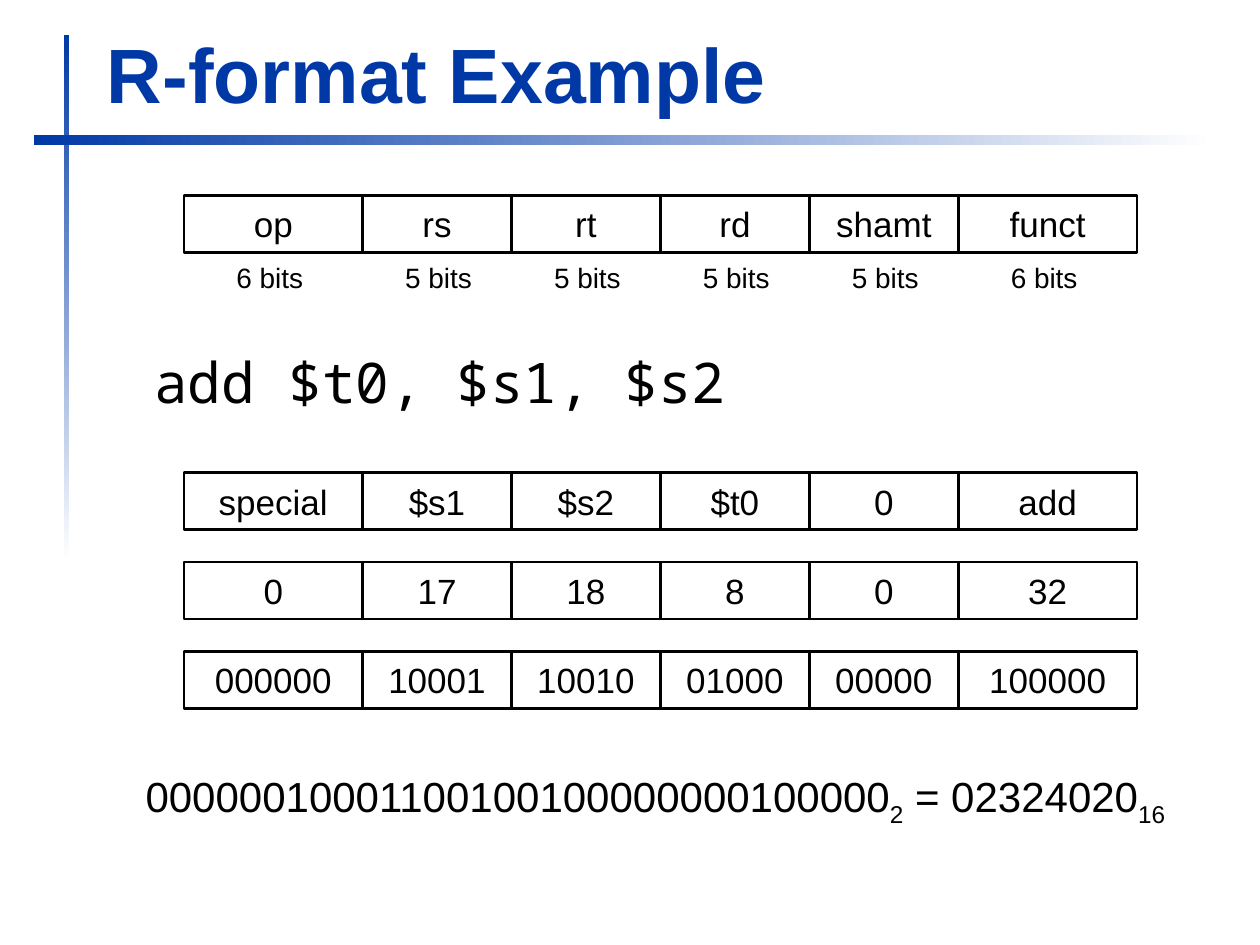
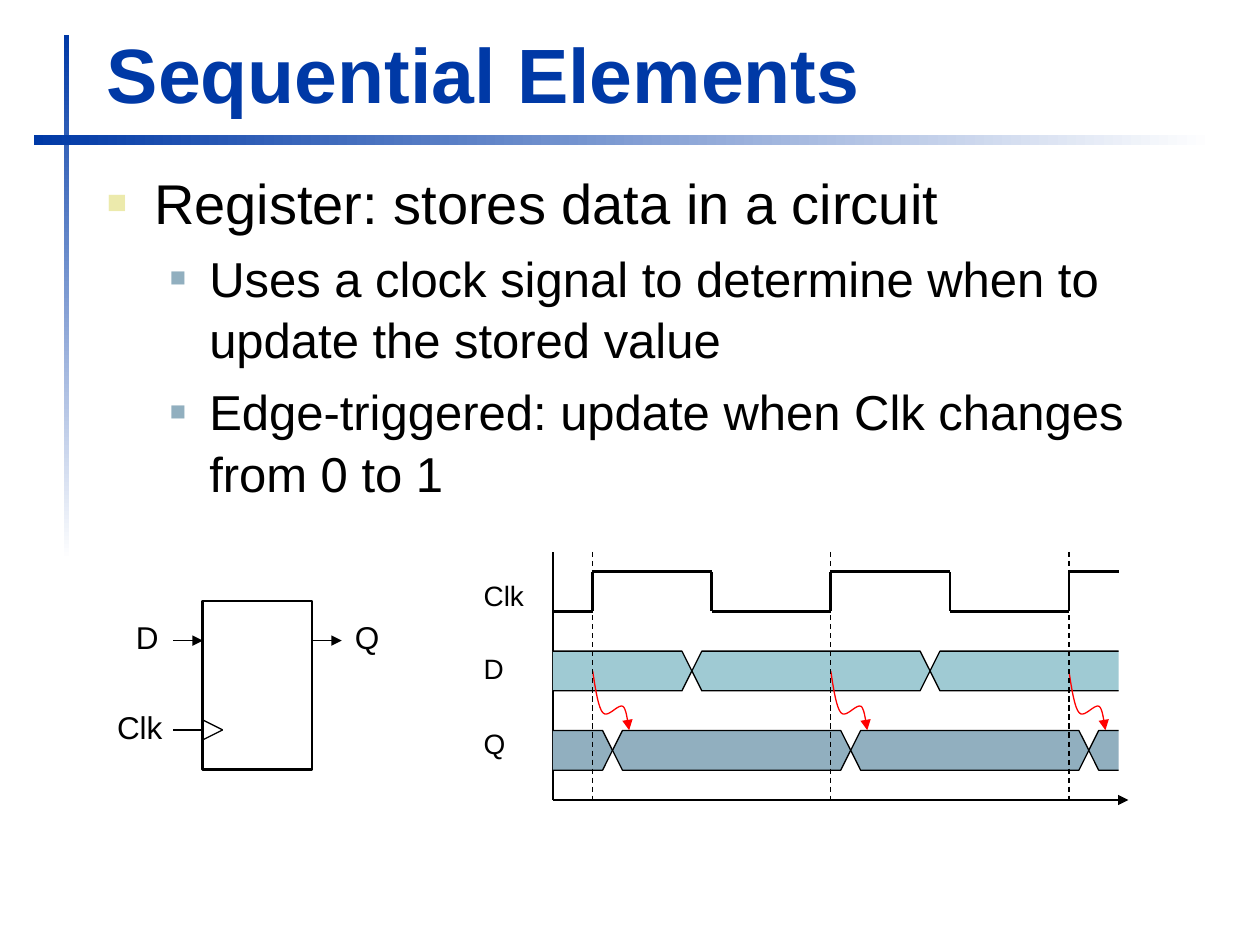
from dataclasses import dataclass
from itertools import accumulate

from lxml.etree import SubElement
from pptx import Presentation
from pptx.dml.color import RGBColor
from pptx.enum.dml import MSO_LINE_DASH_STYLE as Dash
from pptx.enum.shapes import MSO_CONNECTOR as Link, MSO_SHAPE as Preset
from pptx.enum.text import MSO_ANCHOR as Anchor, PP_ALIGN as Align
from pptx.oxml.ns import qn
from pptx.util import Pt


@dataclass(frozen=True)
class Theme:
    blue: str = "0039A6"
    white: str = "FFFFFF"
    black: str = "000000"
    red: str = "FF0000"
    sand: str = "ECEAAC"
    slate: str = "91AFBF"
    teal: str = "9FCAD3"
    sans: str = "Arial"
    mono: str = "Noto Sans Mono"
    title: int = 44
    body: int = 32
    detail: int = 28
    result: int = 24
    cell: int = 20
    pin: int = 18
    note: int = 16
    thick: float = 1.5
    medium: float = 1
    thin: float = 0.75


T = Theme()

# Content: R-format slide
FORMAT_TITLE = "R-format Example"
FIELD_BITS = [6, 5, 5, 5, 5, 6]
FIELD_ROWS = [
    (111.6, ["op", "rs", "rt", "rd", "shamt", "funct"]),
    (270, ["special", "$s1", "$s2", "$t0", "0", "add"]),
    (321.1, ["0", "17", "18", "8", "0", "32"]),
    (372.2, ["000000", "10001", "10010", "01000", "00000", "100000"]),
]
INSTRUCTION = "add $t0, $s1, $s2"
ENCODING = [("00000010001100100100000000100000", "2"), (" = 02324020", "16")]

# Content: sequential elements slide
REGISTER_TITLE = "Sequential Elements"
# Text, size, left margin, hanging indent, bullet colour, bullet percent, space before
POINTS = [
    ("Register: stores data in a circuit", T.body, 27, 27, T.sand, 60, 0),
    ("Uses a clock signal to determine when to update the stored value",
     T.detail, 58.5, 22.5, T.slate, 55, 5.6),
    ("Edge-triggered: update when Clk changes from 0 to 1",
     T.detail, 58.5, 22.5, T.slate, 55, 5.6),
]
PINS = [("D", 70.6, 349.9, 27.4), ("Clk", 59.8, 401, 40.3), ("Q", 195.8, 349.9, 28.8)]
SIGNALS = [("Clk", 326.9, 37.4), ("D", 368.6, 25.9), ("Q", 411.8, 27.4)]

# Drawing grid: positions in the diagrams count in steps of UNIT
UNIT = 5.67
REGISTER_ORIGIN = (115.9, 343.4)
TIMING_ORIGIN = (316, 315.4)
EDGES = [4, 28, 52]
HALF_PERIOD, WAVE_END = 12, 57
CLOCK_HIGH, CLOCK_LOW, TIME_AXIS = 2, 6, 25
BUSES = [(10, [14, 38], T.teal), (18, [6, 30, 54], T.slate)]
TRIGGER = [  # Bezier pieces, relative to the clock edge at the middle of D
    [(0, 0), (0.13, 0.76), (0.5, 3.68), (1.02, 4.19)],
    [(1.02, 4.19), (1.52, 4.83), (2.54, 3.3), (3.05, 3.56)],
    [(3.05, 3.56), (3.43, 3.81), (3.56, 5.46), (3.68, 5.97)],
]


def rgb(value):
    return RGBColor.from_string(value)


def apply(target, **values):
    for name, value in values.items():
        setattr(target, name, value)


def write(paragraph, text, size, color=T.black, font=T.sans, bold=False):
    run = paragraph.add_run()
    run.text = text
    apply(run.font, size=Pt(size), name=font, bold=bold)
    run.font.color.rgb = rgb(color)
    return run


def text_area(slide, left, top, width, height, wrap=True, anchor=Anchor.TOP):
    frame = slide.shapes.add_textbox(*map(Pt, (left, top, width, height))).text_frame
    apply(frame, word_wrap=wrap, vertical_anchor=anchor)
    return frame


def label(slide, text, left, top, width, height, size, align=Align.LEFT):
    paragraph = text_area(slide, left, top, width, height, wrap=False).paragraphs[0]
    paragraph.alignment = align
    write(paragraph, text, size)


def stroke(item, width, color=T.black, dash=None, arrow=False):
    item.line.color.rgb = rgb(color)
    item.line.width = Pt(width)
    if dash:
        item.line.dash_style = dash
    if arrow:
        SubElement(item.line._get_or_add_ln(), qn("a:tailEnd"), type="triangle")


def box(slide, left, top, width, height):
    shape = slide.shapes.add_shape(Preset.RECTANGLE, *map(Pt, (left, top, width, height)))
    shape.shadow.inherit = False
    return shape


def outlined_box(slide, *place):
    shape = box(slide, *place)
    shape.fill.background()
    stroke(shape, T.thick)
    return shape


def on_grid(origin, point):
    return tuple(Pt(start + step * UNIT) for start, step in zip(origin, point))


def wire(slide, origin, start, end, width=T.thin, **style):
    ends = on_grid(origin, start) + on_grid(origin, end)
    link = slide.shapes.add_connector(Link.STRAIGHT, *ends)
    stroke(link, width, **style)
    SubElement(link._element.spPr, qn("a:effectLst"))


def outline(slide, origin, points, closed=False, fill=None, **style):
    first, *rest = [on_grid(origin, point) for point in points]
    builder = slide.shapes.build_freeform(*first)
    builder.add_line_segments(rest, close=closed)
    shape = builder.convert_to_shape()
    shape.shadow.inherit = False
    if fill:
        shape.fill.solid()
        shape.fill.fore_color.rgb = rgb(fill)
    else:
        shape.fill.background()
    stroke(shape, T.thin, **style)


def new_slide(deck, title):
    slide = deck.slides.add_slide(deck.slide_layouts[6])
    # Crossed bars that fade to white
    for place, angle in (((36.7, 20.2, 2.9, 300), 270), ((19.4, 77, 674.6, 5.8), 0)):
        bar = box(slide, *place)
        bar.line.fill.background()
        bar.fill.gradient()
        bar.fill.gradient_angle = angle
        for stop, color in zip(bar.fill.gradient_stops, (T.blue, T.white)):
            stop.color.rgb = rgb(color)
    heading = text_area(slide, 54, 11.5, 650, 60, anchor=Anchor.BOTTOM)
    write(heading.paragraphs[0], title, T.title, T.blue, bold=True)
    return slide


def format_slide(deck):
    slide = new_slide(deck, FORMAT_TITLE)
    bit_width, row_height = 17.02, 32.6
    widths = [bits * bit_width for bits in FIELD_BITS]
    lefts = list(accumulate(widths[:-1], initial=105.1))

    # Field rows
    for top, names in FIELD_ROWS:
        for name, left, width in zip(names, lefts, widths):
            field = outlined_box(slide, left, top, width, row_height)
            paragraph = field.text_frame.paragraphs[0]
            paragraph.alignment = Align.CENTER
            write(paragraph, name, T.cell)

    # Field sizes under the first row
    size_width, nudge = 52.6, {6: -2, 5: 0.8}
    for bits, left, width in zip(FIELD_BITS, lefts, widths):
        size_left = left + (width - size_width) / 2 + nudge[bits]
        label(slide, f"{bits} bits", size_left, 145.4, size_width, 26.6,
              T.note, Align.CENTER)

    # Instruction and its encoding
    instruction = text_area(slide, 81, 195, 624, 51).paragraphs[0]
    write(instruction, INSTRUCTION, T.body, font=T.mono)
    encoding = text_area(slide, 54, 437, 641, 40).paragraphs[0]
    encoding.alignment = Align.CENTER
    for digits, base in ENCODING:
        write(encoding, digits, T.result)
        subscript = write(encoding, base, T.result)
        subscript._r.get_or_add_rPr().set("baseline", "-25000")


def bullet_list(slide):
    frame = text_area(slide, 54, 90.6, 652, 217)
    for index, (text, size, margin, hang, color, percent, before) in enumerate(POINTS):
        point = frame.add_paragraph() if index else frame.paragraphs[0]
        apply(point, space_before=Pt(before), line_spacing=1.05)
        write(point, text, size)
        props = point._p.get_or_add_pPr()
        props.set("marL", str(Pt(margin)))
        props.set("indent", str(-Pt(hang)))
        SubElement(SubElement(props, qn("a:buClr")), qn("a:srgbClr"), val=color)
        SubElement(props, qn("a:buSzPct"), val=str(percent * 1000))
        SubElement(props, qn("a:buFont"), typeface=T.sans)
        SubElement(props, qn("a:buChar"), char="■")


def register_symbol(slide):
    origin, width, height = REGISTER_ORIGIN, 11, 17
    data_y, clock_y, pin = 4, 13, 3
    outlined_box(slide, *origin, width * UNIT, height * UNIT)
    for start in (-pin, width):
        wire(slide, origin, (start, data_y), (start + pin, data_y), T.medium, arrow=True)
    wire(slide, origin, (-pin, clock_y), (0, clock_y))
    for side in (-1, 1):
        wire(slide, origin, (0, clock_y + side), (2, clock_y))
    for name, left, top, name_width in PINS:
        label(slide, name, left, top, name_width, 28.8, T.pin)


def bus_segments(top, crossings):
    """Yield the points of each bus value, and whether its outline is closed."""
    middle, bottom = top + 2, top + 4
    bounds = [0, *crossings, WAVE_END]
    for start, end in zip(bounds, bounds[1:]):
        if start == 0:
            yield [(0, top), (end - 1, top), (end, middle),
                   (end - 1, bottom), (0, bottom)], False
        elif end == WAVE_END:
            yield [(end, top), (start + 1, top), (start, middle),
                   (start + 1, bottom), (end, bottom)], False
        else:
            yield [(start, middle), (start + 1, top), (end - 1, top), (end, middle),
                   (end - 1, bottom), (start + 1, bottom)], True


def trigger_points(x, y, steps=10):
    points = [(x, y)]
    for piece in TRIGGER:
        for t in (step / steps for step in range(1, steps + 1)):
            weights = ((1 - t) ** 3, 3 * t * (1 - t) ** 2, 3 * t * t * (1 - t), t ** 3)
            dx, dy = (sum(w * p[axis] for w, p in zip(weights, piece)) for axis in (0, 1))
            points.append((x + dx, y + dy))
    return points


def timing_diagram(slide):
    origin = TIMING_ORIGIN
    # Clock wave
    wave = [(0, CLOCK_LOW)]
    for edge in EDGES:
        fall = edge + HALF_PERIOD
        wave += [(edge, CLOCK_LOW), (edge, CLOCK_HIGH)]
        if fall < WAVE_END:
            wave += [(fall, CLOCK_HIGH), (fall, CLOCK_LOW)]
    wave.append((WAVE_END, CLOCK_HIGH))
    for start, end in zip(wave, wave[1:]):
        wire(slide, origin, start, end, T.thick)

    # Axes and signal names
    wire(slide, origin, (0, TIME_AXIS), (WAVE_END + 1, TIME_AXIS), arrow=True)
    wire(slide, origin, (0, TIME_AXIS), (0, 0))
    for name, top, width in SIGNALS:
        label(slide, name, 269.3, top, width, 26.6, T.note)

    # Data values, then the edges that move them from D to Q
    for top, crossings, fill in BUSES:
        for points, closed in bus_segments(top, crossings):
            outline(slide, origin, points, closed, fill)
    for edge in EDGES:
        outline(slide, origin, trigger_points(edge, 12), color=T.red, arrow=True)
        wire(slide, origin, (edge, 0), (edge, TIME_AXIS), dash=Dash.DASH)


def register_slide(deck):
    slide = new_slide(deck, REGISTER_TITLE)
    bullet_list(slide)
    register_symbol(slide)
    timing_diagram(slide)


def main():
    deck = Presentation()
    apply(deck, slide_width=Pt(720), slide_height=Pt(540))
    format_slide(deck)
    register_slide(deck)
    deck.save("out.pptx")


if __name__ == "__main__":
    main()
